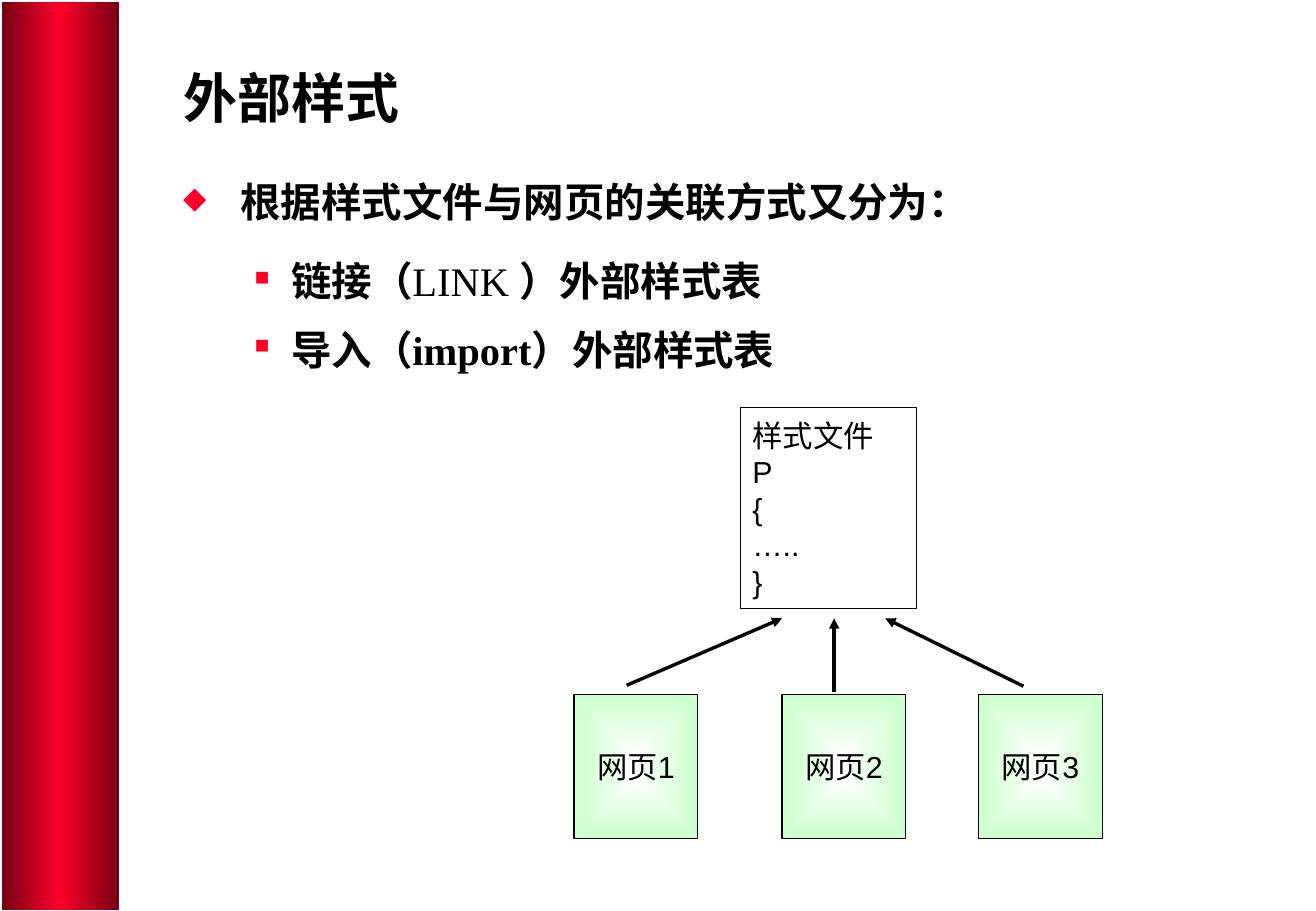
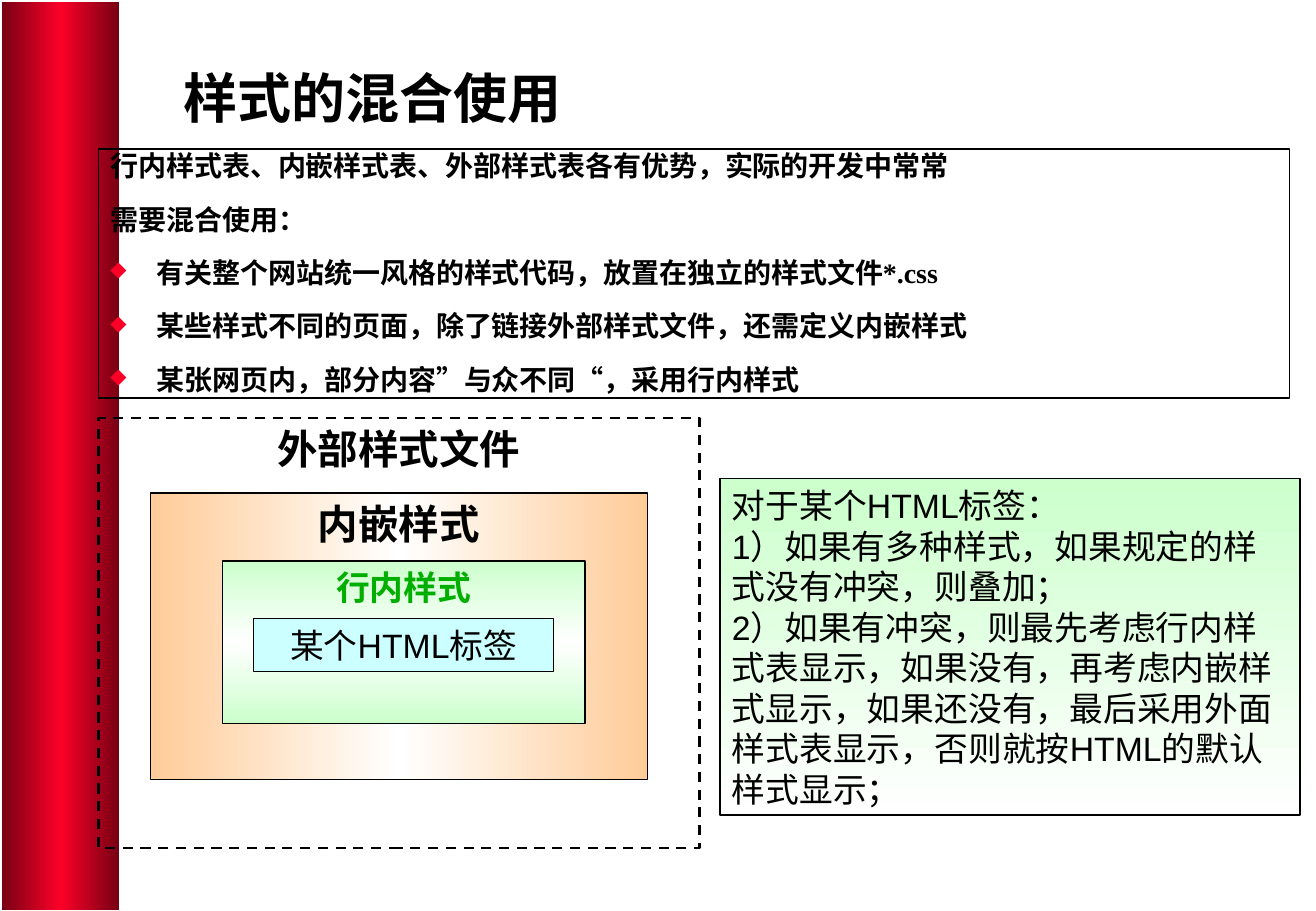
"""Build two slides on external style sheets and on mixing style sheets."""

from pptx import Presentation
from pptx.dml.color import RGBColor
from pptx.enum.dml import MSO_LINE
from pptx.enum.shapes import MSO_CONNECTOR, MSO_SHAPE
from pptx.enum.text import MSO_ANCHOR, PP_ALIGN
from pptx.oxml import parse_xml
from pptx.oxml.ns import nsdecls, qn
from pptx.util import Cm, Pt

BLACK, WHITE, RED, DARK_RED = "000000", "FFFFFF", "FC0128", "750013"
MINT, PEACH, AQUA, GREEN = "CCFFCC", "FFCC99", "CCFFFF", "00AE00"
SANS, SERIF = "Arial", "Times New Roman"
LINEAR = '<a:lin ang="{}" scaled="0"/>'
FROM_CENTRE = '<a:path path="rect"><a:fillToRect l="50000" t="50000" r="50000" b="50000"/></a:path>'

BAND_AREA = (0.02, 0.02, 2.49, 19.02)
TITLE_AREA = (3.6, 0.43, 22.86, 3.18)

PLAIN = dict(margin=0.97, hanging=0.97, bullet=None)
DIAMOND = dict(margin=0.97, hanging=0.97, bullet="◆", bullet_size=75)
DIAMOND_WIDE = dict(DIAMOND, margin=1.2, hanging=1.2)
SQUARE = dict(margin=2.26, hanging=0.76, bullet="■", bullet_size=50)

EXTERNAL_TITLE = "外部样式"
EXTERNAL_AREA = (3.58, 3.58, 22.86, 14.1)
EXTERNAL_POINTS = [
    (DIAMOND_WIDE, 0, 6, [("根据样式文件与网页的关联方式又分为：", True)]),
    (SQUARE, 12, 0, [("链接（", True), ("LINK ", False), ("）外部样式表", True)]),
    (SQUARE, 12, 0, [("导入（import）外部样式表", True)]),
]
STYLE_FILE_AREA = (15.49, 8.53, 3.68, 4.19)
STYLE_FILE_LINES = ["样式文件", "P", "{", "…..", "}"]
PAGE_TOP, PAGE_WIDTH, PAGE_HEIGHT = 14.53, 2.59, 3.0
PAGES = [("网页1", 12.01), ("网页2", 16.36), ("网页3", 20.47)]
ARROW_TIP = 12.93
ARROWS = [(13.11, 14.33, 16.36), (21.41, 14.35, 18.52), (17.45, 14.48, 17.45)]

MIXED_TITLE = "样式的混合使用"
MIXED_AREA = (2.06, 3.12, 24.92, 5.21)
MIXED_POINTS = [
    (PLAIN, "行内样式表、内嵌样式表、外部样式表各有优势，实际的开发中常常"),
    (PLAIN, "需要混合使用："),
    (DIAMOND, "有关整个网站统一风格的样式代码，放置在独立的样式文件*.css"),
    (DIAMOND, "某些样式不同的页面，除了链接外部样式文件，还需定义内嵌样式"),
    (DIAMOND, "某张网页内，部分内容”与众不同“，采用行内样式"),
]
RULES_AREA = (15.06, 10.01, 12.14, 7.04)
RULES = [
    "对于某个HTML标签：",
    "1）如果有多种样式，如果规定的样式没有冲突，则叠加；",
    "2）如果有冲突，则最先考虑行内样式表显示，如果没有，再考虑内嵌样式显示，"
    "如果还没有，最后采用外面样式表显示，否则就按HTML的默认样式显示；",
]
OUTER_LAYER = ("外部样式文件", (2.06, 8.74, 12.57, 8.99))
EMBEDDED_LAYER = ("内嵌样式", (3.15, 10.31, 10.39, 5.99))
INLINE_LAYER = ("行内样式", (4.65, 11.73, 7.59, 3.4))
TAG_LAYER = ("某个HTML标签", (5.31, 12.93, 6.27, 1.12))


def colour(value):
    """Turn a hex string into a colour."""
    return RGBColor.from_string(value)


def lengths(area):
    """Turn centimetres into slide lengths."""
    return [Cm(value) for value in area]


def fill_gradient(shape, colours, direction):
    """Fill a shape with evenly spaced gradient stops."""
    step = 100000 // (len(colours) - 1)
    stops = "".join(
        f'<a:gs pos="{index * step}"><a:srgbClr val="{value}"/></a:gs>'
        for index, value in enumerate(colours)
    )
    gradient = parse_xml(
        f'<a:gradFill {nsdecls("a")} rotWithShape="1"><a:gsLst>{stops}</a:gsLst>{direction}</a:gradFill>'
    )
    shape.fill.background()
    properties = shape.element.spPr
    properties.replace(properties.find(qn("a:noFill")), gradient)


def add_box(slide, area, line_colour=BLACK, line_width=0.75):
    """Add an unfilled, outlined rectangle."""
    shape = slide.shapes.add_shape(MSO_SHAPE.RECTANGLE, *lengths(area))
    shape.shadow.inherit = False
    shape.fill.background()
    shape.line.color.rgb = colour(line_colour)
    shape.line.width = Pt(line_width)
    return shape


def format_font(font, size, name=SANS, text_colour=BLACK, bold=False):
    """Set the look of a run."""
    font.size = Pt(size)
    font.name = name
    font.bold = bold
    font.color.rgb = colour(text_colour)


def write_lines(shape, lines, size, align=PP_ALIGN.LEFT, anchor=MSO_ANCHOR.MIDDLE,
                wrap=True, **look):
    """Write uniformly formatted lines into a shape."""
    frame = shape.text_frame
    frame.text = "\n".join(lines)
    frame.word_wrap = wrap
    frame.vertical_anchor = anchor
    for paragraph in frame.paragraphs:
        paragraph.alignment = align
        for run in paragraph.runs:
            format_font(run.font, size, **look)


def set_bullet(paragraph, margin, hanging, bullet, bullet_size=100):
    """Set the hanging indent and the bullet of a paragraph."""
    properties = paragraph._p.get_or_add_pPr()
    properties.set("marL", str(Cm(margin)))
    properties.set("indent", str(-Cm(hanging)))
    if bullet:
        for xml in (
            f'<a:buClr {nsdecls("a")}><a:srgbClr val="{RED}"/></a:buClr>',
            f'<a:buSzPct {nsdecls("a")} val="{bullet_size * 1000}"/>',
            f'<a:buChar {nsdecls("a")} char="{bullet}"/>',
        ):
            properties.append(parse_xml(xml))


def write_points(shape, points, size, line_spacing=1.0):
    """Write justified body paragraphs made of style, spacing and runs."""
    frame = shape.text_frame
    frame.word_wrap = True
    frame.vertical_anchor = MSO_ANCHOR.TOP
    for index, (style, before, after, runs) in enumerate(points):
        paragraph = frame.add_paragraph() if index else frame.paragraphs[0]
        set_bullet(paragraph, **style)
        paragraph.alignment = PP_ALIGN.JUSTIFY
        paragraph.line_spacing = line_spacing
        paragraph.space_before = Pt(before)
        paragraph.space_after = Pt(after)
        for text, bold in runs:
            run = paragraph.add_run()
            run.text = text
            format_font(run.font, size, SERIF, bold=bold)


def add_arrow(slide, start_x, start_y, end_x, end_y):
    """Add a straight arrow pointing at its end."""
    arrow = slide.shapes.add_connector(
        MSO_CONNECTOR.STRAIGHT, *lengths((start_x, start_y, end_x, end_y))
    )
    arrow.line.color.rgb = colour(BLACK)
    arrow.line.width = Pt(2)
    arrow.line._get_or_add_ln().append(parse_xml(f'<a:tailEnd {nsdecls("a")} type="triangle"/>'))
    arrow._element.spPr.append(parse_xml(f'<a:effectLst {nsdecls("a")}/>'))


def add_base_slide(presentation, title):
    """Add a slide with the red band and the title."""
    slide = presentation.slides.add_slide(presentation.slide_layouts[6])
    band = add_box(slide, BAND_AREA, WHITE, 1)
    fill_gradient(band, [DARK_RED, RED, DARK_RED], LINEAR.format(0))
    title_box = slide.shapes.add_textbox(*lengths(TITLE_AREA))
    write_lines(title_box, [title], 32, bold=True)
    return slide


def build_external(presentation):
    """Build the slide on external styles."""
    slide = add_base_slide(presentation, EXTERNAL_TITLE)
    body = slide.shapes.add_textbox(*lengths(EXTERNAL_AREA))
    write_points(body, EXTERNAL_POINTS, 24)
    style_file = add_box(slide, STYLE_FILE_AREA)
    write_lines(style_file, STYLE_FILE_LINES, 18, wrap=False)
    for name, left in PAGES:
        page = add_box(slide, (left, PAGE_TOP, PAGE_WIDTH, PAGE_HEIGHT))
        fill_gradient(page, [WHITE, MINT], FROM_CENTRE)
        write_lines(page, [name], 18, PP_ALIGN.CENTER, wrap=False)
    for start_x, start_y, end_x in ARROWS:
        add_arrow(slide, start_x, start_y, end_x, ARROW_TIP)


def add_layer(slide, layer, size, anchor=MSO_ANCHOR.TOP, line_width=0.75, **look):
    """Add one of the nested style layers with its label."""
    label, area = layer
    shape = add_box(slide, area, line_width=line_width)
    write_lines(shape, [label], size, PP_ALIGN.CENTER, anchor, wrap=False, **look)
    return shape


def build_mixed(presentation):
    """Build the slide on mixing styles."""
    slide = add_base_slide(presentation, MIXED_TITLE)
    outer = add_layer(slide, OUTER_LAYER, 24, line_width=1.5, bold=True)
    outer.line.dash_style = MSO_LINE.DASH
    body = add_box(slide, MIXED_AREA, line_width=1)
    points = [
        (style, 11.2 if index else 0, 4.5, [(text, True)])
        for index, (style, text) in enumerate(MIXED_POINTS)
    ]
    write_points(body, points, 16.6, 0.8)
    rules = add_box(slide, RULES_AREA, line_width=1)
    fill_gradient(rules, [MINT, WHITE], LINEAR.format(5400000))
    write_lines(rules, RULES, 20)
    embedded = add_layer(slide, EMBEDDED_LAYER, 24, bold=True)
    fill_gradient(embedded, [PEACH, WHITE, PEACH], LINEAR.format(10800000))
    inline = add_layer(slide, INLINE_LAYER, 20, text_colour=GREEN, bold=True)
    fill_gradient(inline, [MINT, WHITE, MINT], LINEAR.format(5400000))
    tag = add_layer(slide, TAG_LAYER, 20, MSO_ANCHOR.MIDDLE)
    tag.fill.solid()
    tag.fill.fore_color.rgb = colour(AQUA)


def main():
    """Build and save the presentation."""
    presentation = Presentation()
    presentation.slide_width = Cm(27.53)
    presentation.slide_height = Cm(19.05)
    build_external(presentation)
    build_mixed(presentation)
    presentation.save("out.pptx")


if __name__ == "__main__":
    main()
